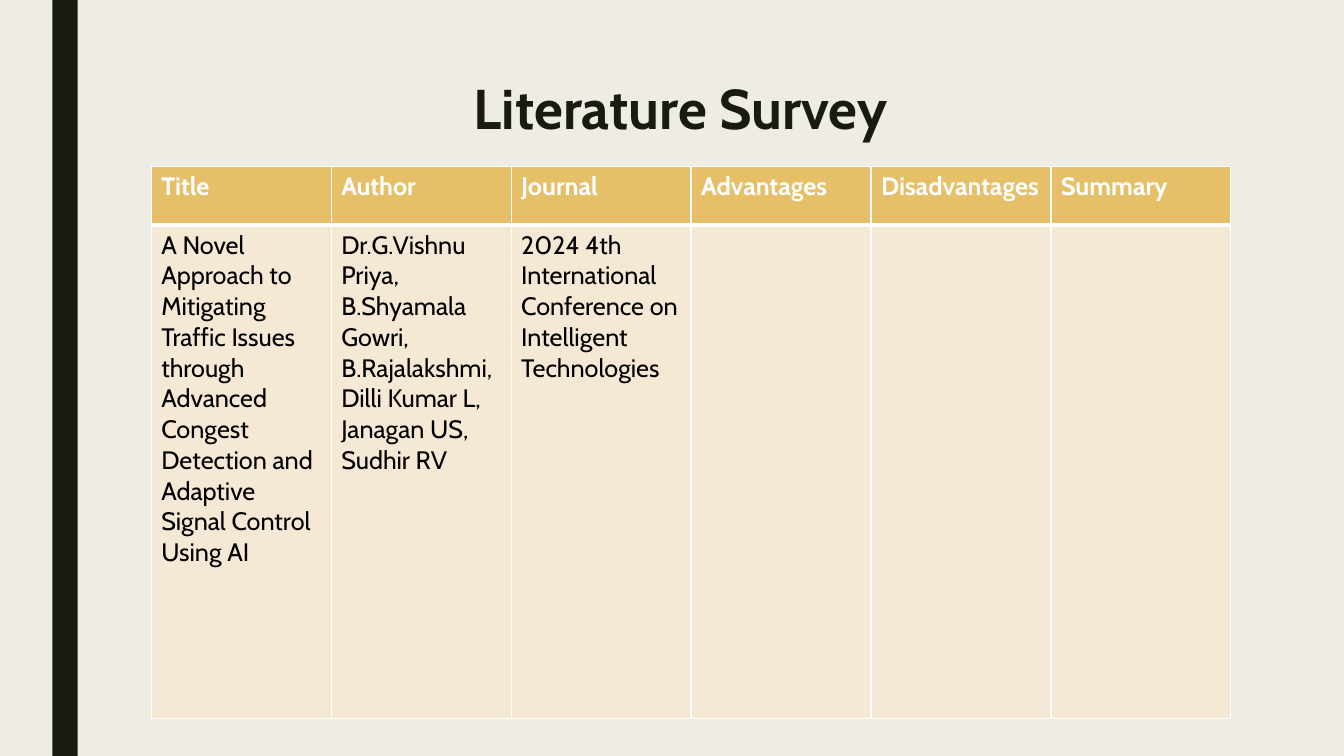
from dataclasses import dataclass

from lxml.etree import SubElement
from pptx import Presentation
from pptx.dml.color import RGBColor
from pptx.enum.shapes import MSO_SHAPE
from pptx.enum.text import MSO_ANCHOR, PP_ALIGN
from pptx.oxml.ns import qn
from pptx.util import Inches, Pt


@dataclass(frozen=True)
class Theme:
    font: str = "Cabin"
    background: str = "EFEDE3"
    dark: str = "191B0E"
    header: str = "E6C069"
    body: str = "F5E8D4"
    white: str = "FFFFFF"
    black: str = "000000"
    title_size: int = 40
    table_size: int = 18


theme = Theme()


def add_span(para, text, size, color, bold):
    span = para.add_run()
    span.text = text
    span.font.name = theme.font
    span.font.size = Pt(size)
    span.font.bold = bold
    span.font.color.rgb = RGBColor.from_string(color)


def add_border(cell, side, points):
    line = SubElement(cell._tc.get_or_add_tcPr(), qn(f"a:ln{side}"), w=str(Pt(points)))
    fill = SubElement(line, qn("a:solidFill"))
    SubElement(fill, qn("a:srgbClr"), val=theme.white)


deck = Presentation()
deck.slide_width = Inches(13.33)
deck.slide_height = Inches(7.5)
page = deck.slides.add_slide(deck.slide_layouts[5])
page.background.fill.solid()
page.background.fill.fore_color.rgb = RGBColor.from_string(theme.background)

side_bar = page.shapes.add_shape(
    MSO_SHAPE.RECTANGLE, Inches(0.52), 0, Inches(0.25), deck.slide_height
)
side_bar.shadow.inherit = False
side_bar.fill.solid()
side_bar.fill.fore_color.rgb = RGBColor.from_string(theme.dark)
side_bar.line.fill.background()

title = page.shapes.title
title.left, title.top = Inches(1.5), Inches(0.75)
title.width, title.height = Inches(10.5), Inches(0.71)
title.text_frame.word_wrap = True
title.text_frame.vertical_anchor = MSO_ANCHOR.MIDDLE
title_para = title.text_frame.paragraphs[0]
title_para.alignment = PP_ALIGN.CENTER
title_para.line_spacing = 0.89
add_span(title_para, "Literature Survey", theme.title_size, theme.dark, True)

survey = {
    "Title": [
        "A Novel Approach to Mitigating Traffic Issues through Advanced "
        "Congest Detection and Adaptive Signal Control Using AI"
    ],
    "Author": [
        "Dr.G.Vishnu Priya, B.Shyamala Gowri, B.Rajalakshmi,",
        "Dilli Kumar L,",
        "Janagan US,",
        "Sudhir RV",
    ],
    "Journal": ["2024 4th International Conference on Intelligent Technologies"],
    "Advantages": [],
    "Disadvantages": [],
    "Summary": [],
}

table = page.shapes.add_table(
    2, len(survey), Inches(1.5), Inches(1.65), Inches(10.71), Inches(5.48)
).table
table.rows[0].height = Inches(0.58)
table.rows[1].height = Inches(4.9)

row_styles = [
    (theme.header, theme.white, True, {"L": 1, "R": 1, "T": 1, "B": 3}),
    (theme.body, theme.black, False, {"L": 1, "R": 1, "T": 3, "B": 1}),
]
for column, (heading, details) in enumerate(survey.items()):
    for row, lines in enumerate([[heading], details]):
        fill_color, text_color, bold, borders = row_styles[row]
        cell = table.cell(row, column)
        for side, points in borders.items():
            add_border(cell, side, points)
        cell.fill.solid()
        cell.fill.fore_color.rgb = RGBColor.from_string(fill_color)
        frame = cell.text_frame
        for index, text in enumerate(lines):
            para = frame.add_paragraph() if index else frame.paragraphs[0]
            add_span(para, text, theme.table_size, text_color, bold)

deck.save("out.pptx")
